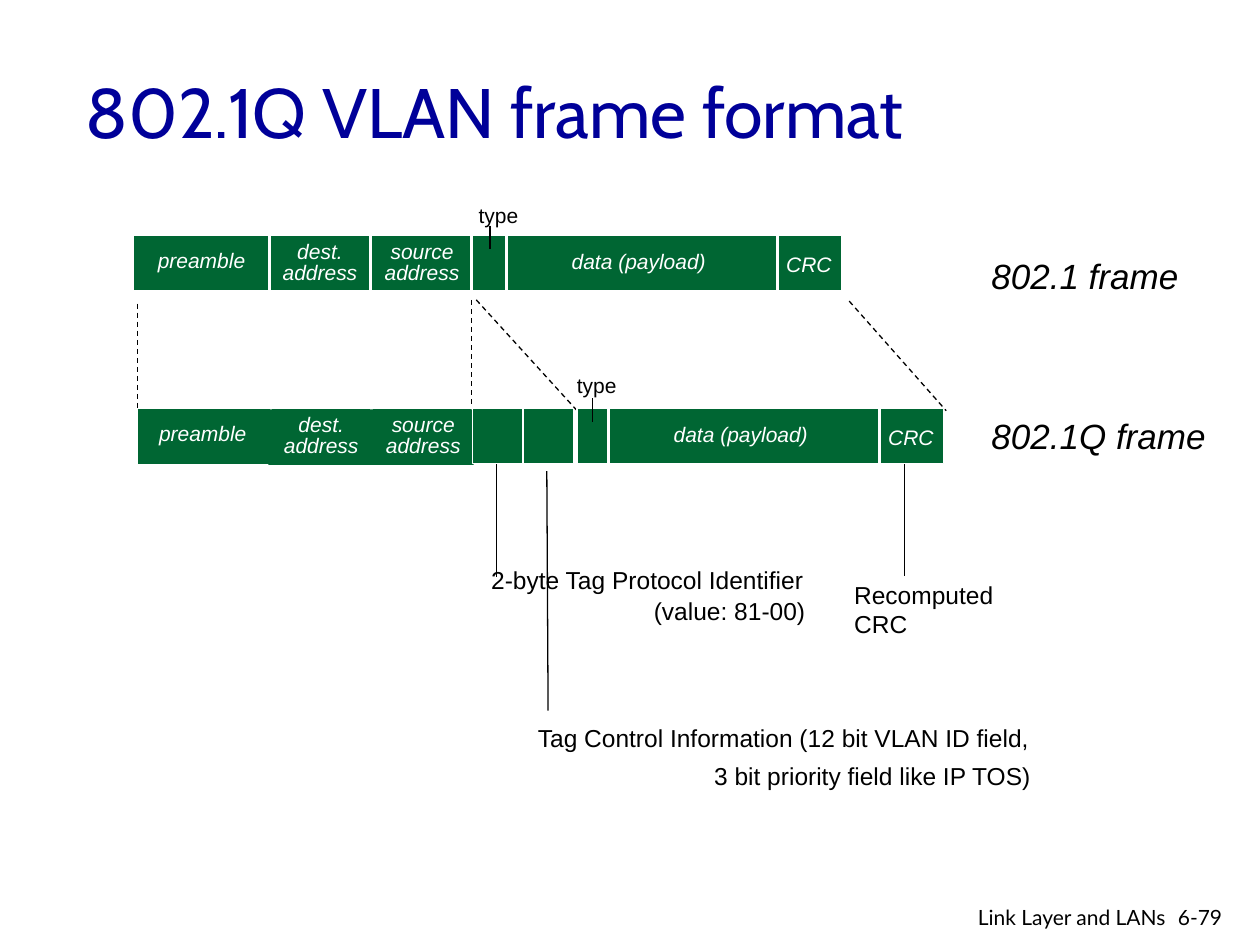
from dataclasses import dataclass

from lxml import etree
from pptx import Presentation
from pptx import util as u
from pptx.dml.color import RGBColor
from pptx.enum import dml, shapes, text
from pptx.oxml.ns import qn

COLS, ROWS = 100, 75
LEFT, CENTER, RIGHT = text.PP_ALIGN.LEFT, text.PP_ALIGN.CENTER, text.PP_ALIGN.RIGHT
TOP, MIDDLE = text.MSO_ANCHOR.TOP, text.MSO_ANCHOR.MIDDLE


@dataclass(frozen=True)
class Theme:
    ink: str = "000000"
    title_ink: str = "000099"
    field: str = "006633"
    paper: str = "FFFFFF"
    body_font: str = "Arial"
    title_font: str = "Cabin"
    footer_font: str = "Lato"
    title_size: int = 40
    heading_size: int = 20
    note_size: int = 14
    label_size: int = 12
    thin: float = 0.75
    thick: float = 1.5


class FrameSlide:
    """Places elements on a grid of COLS by ROWS over one slide."""

    def __init__(self, prs, theme):
        self.theme = theme
        self.col = prs.slide_width / COLS
        self.row = prs.slide_height / ROWS
        self.s = prs.slides.add_slide(prs.slide_layouts[5])

    def box(self, x, y, w, h):
        return (round(x * self.col), round(y * self.row),
                round(w * self.col), round(h * self.row))

    def set_text(self, sp, words, size, color=None, font=None, italic=False,
                 wrap=False, anchor=TOP, aligns=(LEFT,), para=None):
        """Fill a shape with lines; the last alignment serves the remaining lines."""
        tf = sp.text_frame
        frame = {"word_wrap": wrap, "vertical_anchor": anchor,
                 "auto_size": text.MSO_AUTO_SIZE.NONE}
        for name, value in frame.items():
            setattr(tf, name, value)
        style = {"size": u.Pt(size), "name": font or self.theme.body_font,
                 "italic": italic, "bold": False}
        for i, line in enumerate(words.split("\n")):
            p = tf.paragraphs[0] if i == 0 else tf.add_paragraph()
            p.alignment = aligns[min(i, len(aligns) - 1)]
            for name, value in (para or {}).items():
                if i or name != "space_before":
                    setattr(p, name, value)
            r = p.add_run()
            r.text = line
            for name, value in style.items():
                setattr(r.font, name, value)
            r.font.color.rgb = RGBColor.from_string(color or self.theme.ink)

    def title(self, words, area):
        sp = self.s.shapes.title
        sp.left, sp.top, sp.width, sp.height = self.box(*area)
        self.set_text(sp, words, self.theme.title_size, self.theme.title_ink,
                      self.theme.title_font, wrap=True, anchor=MIDDLE)

    def text(self, words, area, size, **style):
        self.set_text(self.s.shapes.add_textbox(*self.box(*area)), words, size, **style)

    def line(self, x1, y1, x2, y2, color=None, width=None, dashed=False):
        start, end = self.box(x1, y1, 0, 0), self.box(x2, y2, 0, 0)
        ln = self.s.shapes.add_connector(shapes.MSO_CONNECTOR.STRAIGHT, *start[:2], *end[:2])
        ln.line.color.rgb = RGBColor.from_string(color or self.theme.ink)
        ln.line.width = u.Pt(width or self.theme.thin)
        if dashed:
            ln.line.dash_style = dml.MSO_LINE.DASH
        etree.SubElement(ln._element.spPr, qn("a:effectLst"))

    def rect(self, area, outlined=True):
        sp = self.s.shapes.add_shape(shapes.MSO_SHAPE.RECTANGLE, *self.box(*area))
        sp.shadow.inherit = False
        sp.fill.solid()
        sp.fill.fore_color.rgb = RGBColor.from_string(self.theme.field)
        if outlined:
            sp.line.color.rgb = RGBColor.from_string(self.theme.paper)
            sp.line.width = u.Pt(self.theme.thin)
        else:
            sp.line.fill.background()
        return sp

    def dividers(self, xs, y, height=4.7):
        for x in xs:
            self.line(x, y, x, y + height, self.theme.paper, self.theme.thick)

    def fields(self, fields, dx=0, dy=0, filled=False):
        for words, x, y, w, h in fields:
            area = (x + dx, y + dy, w, h)
            sp = (self.rect(area, outlined=False) if filled
                  else self.s.shapes.add_textbox(*self.box(*area)))
            self.set_text(sp, words, self.theme.label_size, self.theme.paper, italic=True,
                          aligns=(CENTER,), para={"line_spacing": u.Pt(12)})


HEAD = [("dest.\naddress", 21.2, 18.8, 8.4, 4.4),
        ("source\naddress", 29.5, 18.8, 8, 4.4),
        ("preamble", 11.5, 19.5, 9, 2.7)]
TAIL = [("data (payload)", 44.2, 19.6, 13, 2.7),
        ("CRC", 61.4, 19.8, 5.6, 2.7)]
HEAD_EDGES = (21.4, 29.4, 37.4)
TAIL_EDGES = (40.2, 61.7)
DROP = 13.7        # rows from the plain frame down to the tagged one
TAG_SHIFT = 8.1    # columns the tag pushes the tail to the right


def main():
    prs = Presentation()
    prs.slide_width, prs.slide_height = u.Inches(10), u.Inches(7.5)
    th = Theme()
    s = FrameSlide(prs, th)
    s.title("802.1Q VLAN frame format", (5.8, 2.5, 85, 12.5))

    for x1, y1, x2, y2 in [(10.9, 24.1, 10.9, 32.5), (37.4, 23.8, 37.4, 32.2),
                           (37.8, 23.8, 45.9, 32.7), (67.4, 23.9, 75.1, 32.6)]:
        s.line(x1, y1, x2, y2, dashed=True)
    for leader in [(39.4, 36.4, 39.4, 45.8), (43.4, 37.4, 43.5, 56.4),
                   (71.8, 36.3, 71.8, 45.7)]:
        s.line(*leader)

    notes = [
        ("2-byte Tag Protocol Identifier\n(value: 81-00)", (38, 44.4, 26.9, 5.7),
         (LEFT, RIGHT), {"space_before": u.Pt(1)}),
        ("Tag Control Information (12 bit VLAN ID field,\n3 bit priority field like IP TOS)",
         (41.7, 56.9, 41.1, 6.3), (LEFT, RIGHT), {"space_before": u.Pt(5)}),
        ("Recomputed\nCRC", (66.8, 45.7, 13.5, 5.3), (LEFT,), {"line_spacing": u.Pt(16.5)}),
    ]
    for words, area, aligns, para in notes:
        s.text(words, area, th.note_size, anchor=MIDDLE, aligns=aligns, para=para)
    for words, y, w in [("802.1 frame", 19.7, 17), ("802.1Q frame", 32.4, 19.1)]:
        s.text(words, (77.7, y, w, 4.4), th.heading_size, italic=True)

    # Plain frame
    s.rect((10.6, 18.7, 56.2, 4.4))
    s.dividers(HEAD_EDGES + TAIL_EDGES, 18.6)
    s.fields(HEAD + TAIL)

    # Tagged frame: head, tail, then the tag between them
    s.rect((10.9, 32.4, 26.8, 4.5))
    s.dividers([x + 0.1 for x in HEAD_EDGES], 18.6 + DROP)
    s.fields(HEAD, 0.1, DROP, filled=True)
    s.rect((45.8, 32.4, 29.1, 4.4))
    s.dividers([x + TAG_SHIFT for x in TAIL_EDGES], 18.5 + DROP)
    s.fields(TAIL, TAG_SHIFT, DROP)
    s.rect((37.5, 32.4, 8, 4.4))
    s.dividers([41.5], 32.4)

    for x, y, tick_x, tick_y in [(37, 15.6, 38.9, 17.9), (44.8, 29.1, 47, 31.6)]:
        s.text("type", (x, y, 5.2, 3), th.label_size)
        s.line(tick_x, tick_y, tick_x, tick_y + 1.9)

    for words, area, align in [("6-79", (92.5, 71.3, 6, 3), LEFT),
                               ("Link Layer and LANs", (69.7, 71.3, 23.8, 2.6), RIGHT)]:
        s.text(words, area, th.label_size, font=th.footer_font, wrap=True, aligns=(align,))

    prs.save("out.pptx")


if __name__ == "__main__":
    main()
